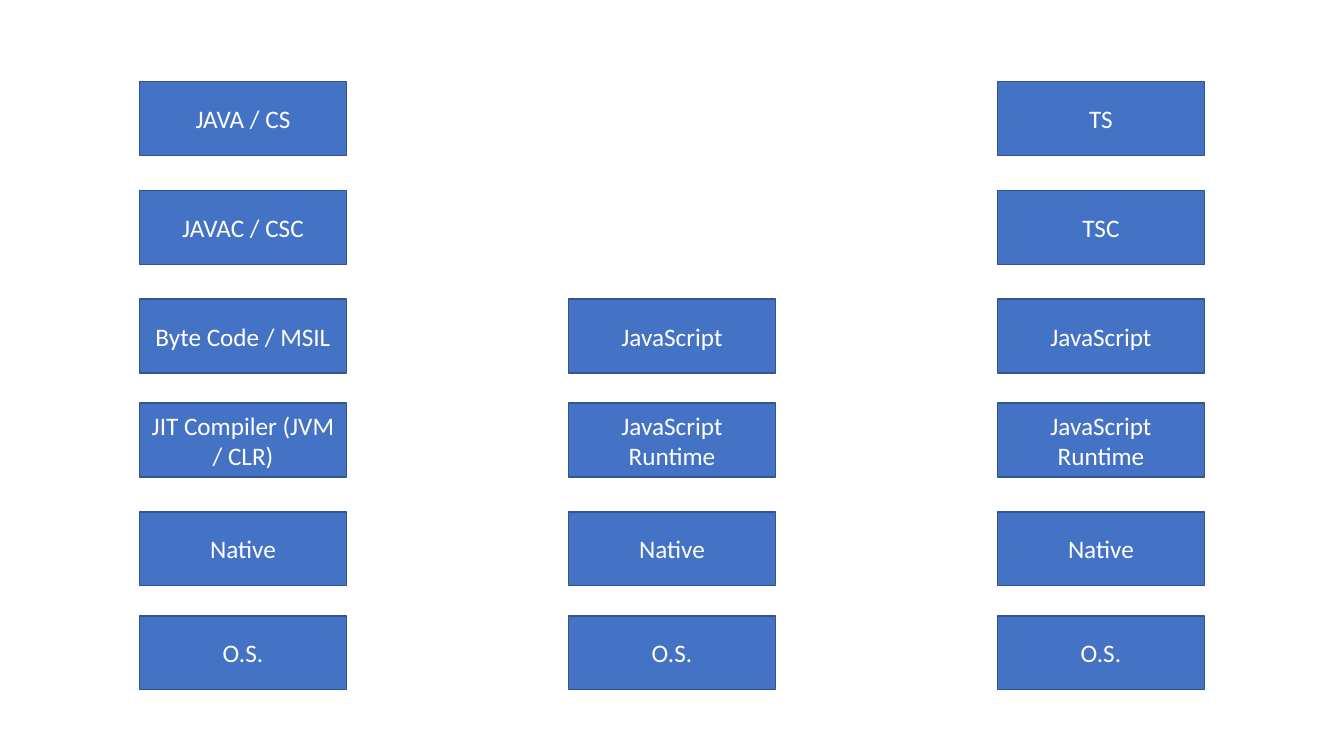
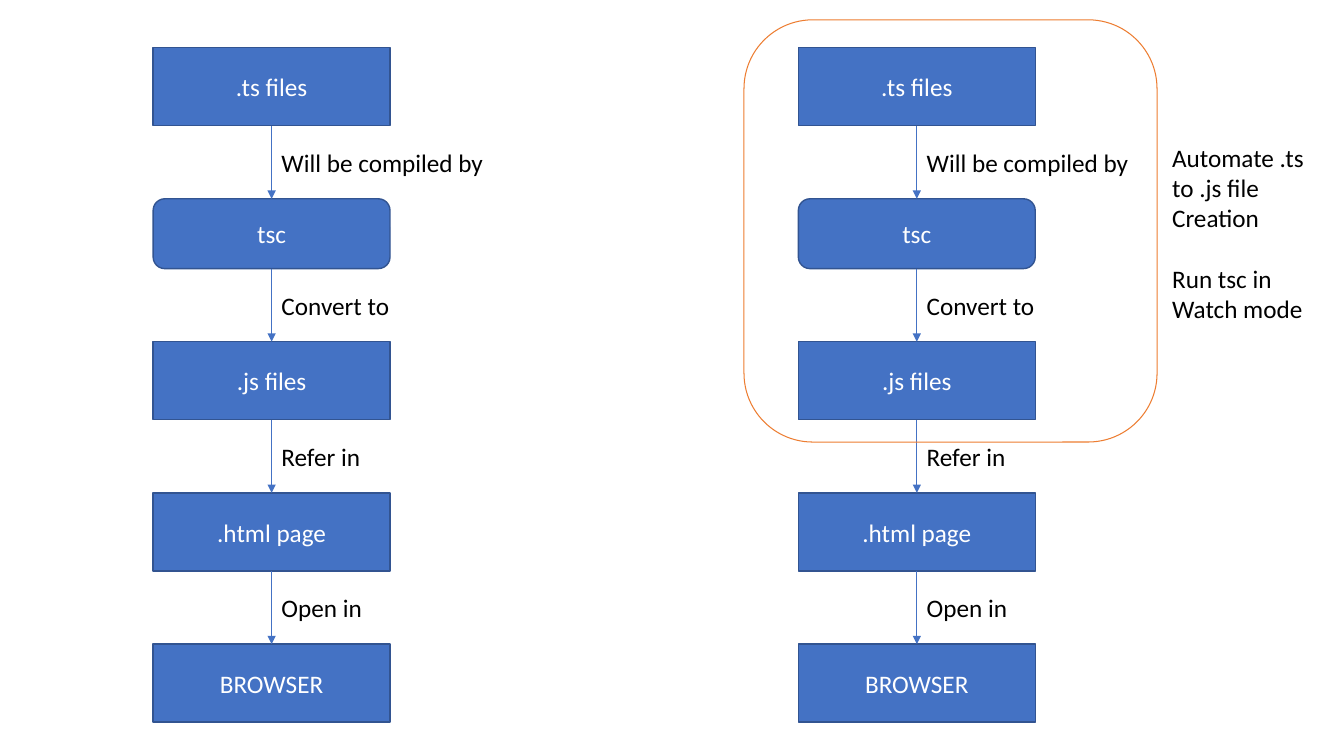
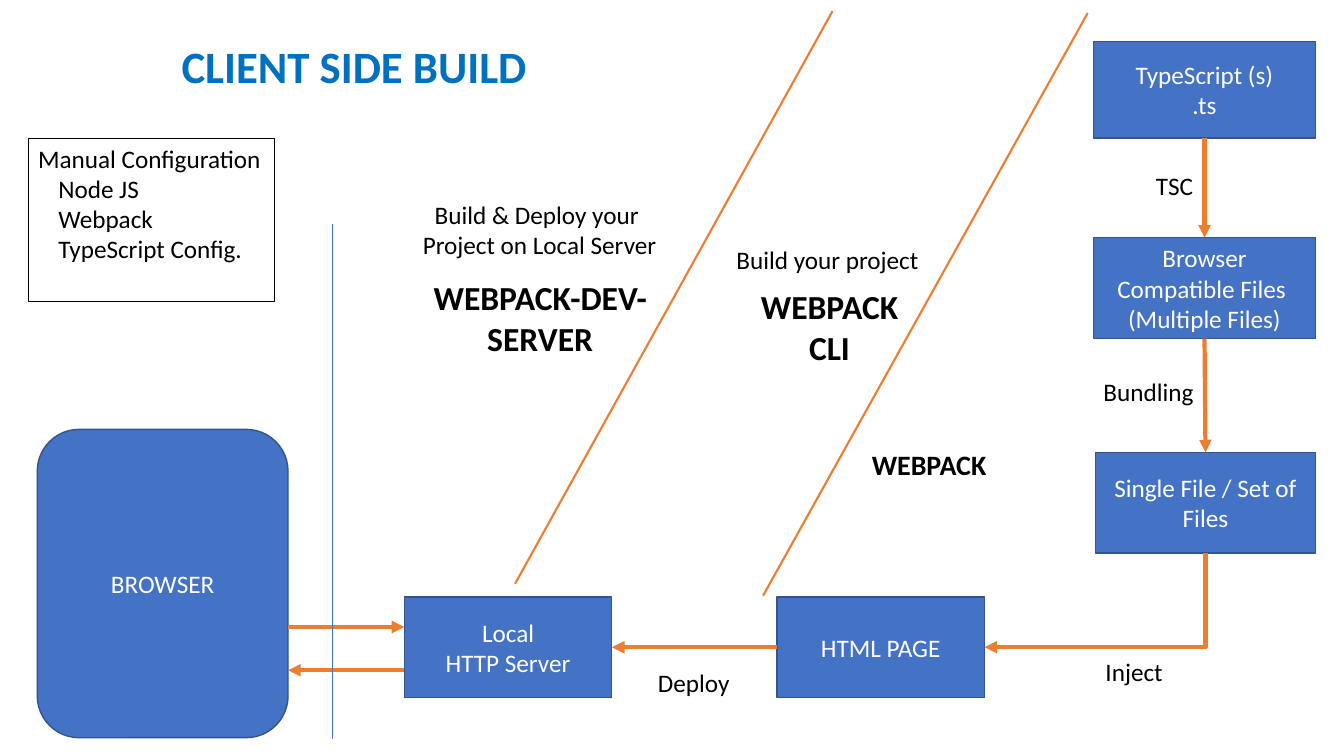
from dataclasses import dataclass
from itertools import pairwise

from lxml.etree import SubElement
from pptx import Presentation
from pptx.dml.color import RGBColor
from pptx.enum.shapes import MSO_CONNECTOR as LINK, MSO_SHAPE as SHAPE
from pptx.enum.text import MSO_ANCHOR as ANCHOR, MSO_AUTO_SIZE as FIT, PP_ALIGN as ALIGN
from pptx.oxml.ns import qn
from pptx.util import Cm, Pt

COLORS = {
    "blue": "4472C4",
    "edge": "325491",
    "orange": "ED7D31",
    "title": "0070C0",
    "black": "000000",
    "white": "FFFFFF",
}
FONT = "Calibri"
TOP, LEFT, BOTTOM, RIGHT = range(4)


@dataclass
class Box:
    x: float
    y: float
    w: float
    h: float = 1.02

    def inner(self, x, y, w, h=1.02):
        return Box(self.x + x, self.y + y, w, h)

    def point(self, x, y):
        return self.x + x, self.y + y

    def lengths(self):
        return Cm(self.x), Cm(self.y), Cm(self.w), Cm(self.h)


def color(name):
    return RGBColor.from_string(COLORS[name])


def outline(item, name, width):
    item.line.color.rgb = color(name)
    item.line.width = Pt(width)


def write(frame, lines, ink="black", size=18, bold=False, align=ALIGN.LEFT):
    for number, line in enumerate(lines):
        paragraph = frame.add_paragraph() if number else frame.paragraphs[0]
        paragraph.alignment = align
        run = paragraph.add_run()
        run.text = line
        run.font.name = FONT
        run.font.size = Pt(size)
        run.font.bold = bold
        run.font.color.rgb = color(ink)


def node(slide, box, *lines, kind=SHAPE.RECTANGLE):
    shape = slide.shapes.add_shape(kind, *box.lengths())
    shape.shadow.inherit = False
    shape.fill.solid()
    shape.fill.fore_color.rgb = color("blue")
    outline(shape, "edge", 1)
    shape.text_frame.vertical_anchor = ANCHOR.MIDDLE
    write(shape.text_frame, lines, "white", align=ALIGN.CENTER)
    return shape


def label(slide, box, *lines, **style):
    caption = slide.shapes.add_textbox(*box.lengths())
    caption.text_frame.word_wrap = False
    write(caption.text_frame, lines, **style)
    return caption


def line(slide, start, end, ink="orange", width=3.0, arrow=True, kind=LINK.STRAIGHT):
    connector = slide.shapes.add_connector(kind, *(Cm(v) for v in (*start, *end)))
    outline(connector, ink, width)
    properties = connector._element.spPr
    if arrow:
        SubElement(properties.find(qn("a:ln")), qn("a:tailEnd"), type="triangle")
    SubElement(properties, qn("a:effectLst"))
    return connector


def link(slide, source, source_site, target, target_site, **style):
    connector = line(slide, (0, 0), (0, 0), **style)
    connector.begin_connect(source, source_site)
    connector.end_connect(target, target_site)


def down_then_left(slide, start, end):
    across, down = start[0] - end[0], end[1] - start[1]
    x = (start[0] + end[0] - down) / 2
    y = (start[1] + end[1] - across) / 2
    elbow = line(slide, (x, y), (x + down, y + across), kind=LINK.ELBOW)
    properties = elbow._element.spPr
    properties.find(qn("a:prstGeom")).set("prst", "bentConnector2")
    properties.find(qn("a:xfrm")).set("rot", str(90 * 60000))


def layer_stack(slide, box, layers):
    row_tops = [0, 2.74, 5.48, 8.1, 10.84, 13.46]
    for y, layer in zip(row_tops[-len(layers):], layers):
        node(slide, box.inner(0, y, box.w, 1.86), layer)


def compile_flow(slide, box):
    gap = 1.84
    steps = [
        (".ts files", "Will be compiled by", 5.66),
        ("tsc", "Convert to", 3.25),
        (".js files", "Refer in", 2.51),
        (".html page", "Open in", 2.57),
        ("BROWSER", None, 0),
    ]
    nodes, y = [], 0
    for name, action, width in steps:
        compiler = name == "tsc"
        height = 1.76 if compiler else 1.97
        kind = SHAPE.ROUNDED_RECTANGLE if compiler else SHAPE.RECTANGLE
        nodes.append(node(slide, box.inner(0, y, box.w, height), name, kind=kind))
        y += height
        if action:
            label(slide, box.inner(box.w / 2, y + 0.42, width), action)
        y += gap
    for source, target in pairwise(nodes):
        link(slide, source, BOTTOM, target, TOP, ink="blue", width=0.5)


def watch_mode(slide, box):
    frame = slide.shapes.add_shape(SHAPE.ROUNDED_RECTANGLE, *box.lengths())
    frame.shadow.inherit = False
    frame.fill.background()
    outline(frame, "orange", 0.75)
    note = label(slide, box.inner(box.w + 0.13, 2.95, 4.01, 4.88),
                 "Automate .ts", "to .js file", "Creation", "Run tsc in", "Watch mode")
    note.text_frame.paragraphs[3].space_before = Pt(22)


def heading(slide, box, text):
    title = slide.shapes.title
    title.left, title.top, title.width, title.height = box.lengths()
    frame = title.text_frame
    frame.auto_size = FIT.NONE
    frame.word_wrap = False
    frame.vertical_anchor = ANCHOR.TOP
    write(frame, [text], "title", 32, True)


def configuration(slide, box):
    panel = label(slide, box, "Manual Configuration", "Node JS", "Webpack", "TypeScript Config.")
    outline(panel, "black", 0.75)
    for item in panel.text_frame.paragraphs[1:]:
        item._p.get_or_add_pPr().set("marL", str(Cm(0.51)))


def build_steps(slide, box):
    sources = node(slide, box.inner(0, 0, box.w, 2.44), "TypeScript (s)", ".ts")
    compatible = node(slide, box.inner(0, 4.95, box.w, 2.54),
                      "Browser Compatible Files ", "(Multiple Files)")
    bundle = node(slide, box.inner(0.05, 10.36, box.w - 0.05, 2.54), "Single File / Set of Files")
    link(slide, sources, BOTTOM, compatible, TOP)
    link(slide, compatible, BOTTOM, bundle, TOP)
    label(slide, box.inner(1.32, 3.13, 1.45), "TSC")
    label(slide, box.inner(0, 8.33, 2.82), "Bundling")


def delivery(slide, box):
    node(slide, box.inner(0, 0, 6.32, box.h), "BROWSER", kind=SHAPE.ROUNDED_RECTANGLE)
    server = node(slide, box.inner(9.25, 4.22, 5.23, 2.54), "Local", "HTTP Server")
    page = node(slide, box.inner(18.64, 4.22, 5.23, 2.54), "HTML PAGE")
    line(slide, box.point(6.32, 4.98), box.point(9.25, 4.98))
    line(slide, box.point(9.25, 6.07), box.point(6.32, 6.07))
    link(slide, page, LEFT, server, RIGHT)
    down_then_left(slide, box.point(29.44, 3.12), box.point(23.87, 5.49))
    label(slide, box.inner(15.39, 5.87, 2.34), "Deploy")
    label(slide, box.inner(26.67, 5.59, 1.98), "Inject")


def tool_stages(slide, box):
    line(slide, box.point(0, 5.36), box.point(0, box.h), "blue", 0.5, False)
    for start, end in [((12.6, 0), (4.6, 14.43)), ((19.03, 0.05), (10.85, 14.73))]:
        line(slide, box.point(*start), box.point(*end), width=1.5, arrow=False)
    tool = {"size": 24, "bold": True, "align": ALIGN.CENTER}
    label(slide, box.inner(1.98, 4.62, 6.48, 1.8),
          "Build & Deploy your ", "Project on Local Server", align=ALIGN.CENTER)
    label(slide, box.inner(2.24, 6.58, 5.99, 2.31), "WEBPACK-DEV-", "SERVER", **tool)
    label(slide, box.inner(9.93, 5.74, 5.16), "Build your project")
    label(slide, box.inner(10.52, 6.81, 4.01, 2.31), "WEBPACK", "CLI", **tool)
    label(slide, box.inner(13.34, 10.87, 3.43, 1.12), "WEBPACK", size=20, bold=True)


def main():
    deck = Presentation()
    deck.slide_width, deck.slide_height = Cm(33.87), Cm(19.05)
    title_only, blank = deck.slide_layouts[5], deck.slide_layouts[6]

    runtimes = deck.slides.add_slide(blank)
    script = ["JavaScript", "JavaScript Runtime", "Native", "O.S."]
    managed = ["JAVA / CS", "JAVAC / CSC", "Byte Code / MSIL",
               "JIT Compiler (JVM / CLR)", "Native", "O.S."]
    for column, layers in enumerate([managed, script, ["TS", "TSC", *script]]):
        layer_stack(runtimes, Box(3.52 + 10.81 * column, 2.06, 5.21, 15.32), layers)

    compiling = deck.slides.add_slide(blank)
    for x in (3.86, 20.12):
        compile_flow(compiling, Box(x, 1.2, 5.97, 17))
    watch_mode(compiling, Box(18.75, 0.5, 10.41, 10.64))

    client_build = deck.slides.add_slide(title_only)
    heading(client_build, Box(4.32, 0.86, 9.3, 1.63), "CLIENT SIDE BUILD")
    configuration(client_build, Box(0.71, 3.48, 6.2, 4.11))
    build_steps(client_build, Box(27.56, 1.04, 5.59, 12.9))
    delivery(client_build, Box(0.94, 10.82, 32.2, 7.77))
    tool_stages(client_build, Box(8.38, 0.28, 19.03, 18.34))

    deck.save("out.pptx")


if __name__ == "__main__":
    main()
